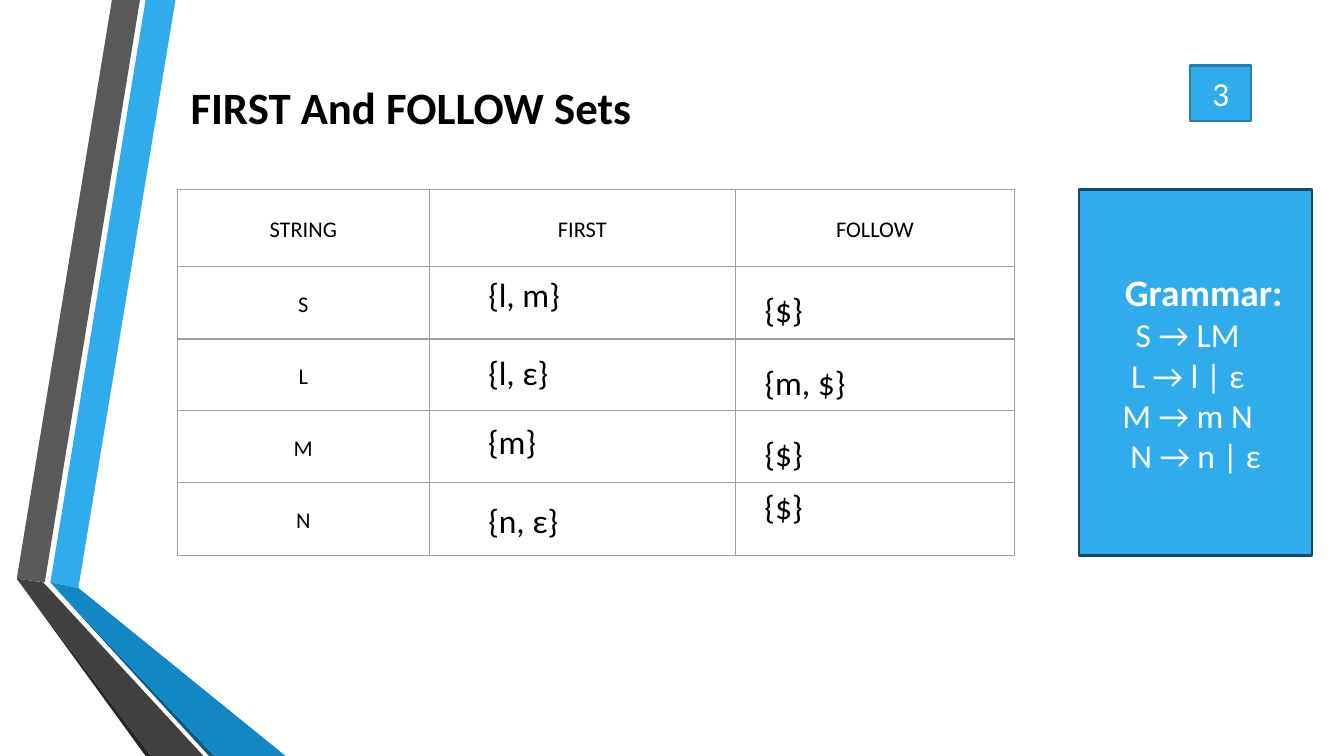
"""Builds the FIRST and FOLLOW sets slide for a small grammar."""
from lxml.etree import SubElement
from pptx import Presentation
from pptx.dml.color import RGBColor
from pptx.enum.shapes import MSO_SHAPE as Preset
from pptx.enum.text import MSO_ANCHOR as Anchor, MSO_AUTO_SIZE as AutoSize, PP_ALIGN as Align
from pptx.oxml.ns import qn
from pptx.util import Pt

FONT = "Calibri"
BLACK = RGBColor(0x00, 0x00, 0x00)
WHITE = RGBColor(0xFF, 0xFF, 0xFF)
BLUE = RGBColor(0x30, 0xAC, 0xEC)
BADGE_EDGE = RGBColor(0x24, 0x7F, 0xAF)
PANEL_EDGE = RGBColor(0x15, 0x4B, 0x67)
GRID = RGBColor(0x9E, 0x9E, 0x9E)

TITLE = "FIRST And FOLLOW Sets"
HEADERS = ["STRING", "FIRST", "FOLLOW"]
SYMBOLS = ["S", "L", "M", "N"]
FIRST_LEFT, FOLLOW_LEFT = 254.5, 402.5
SETS = [
    ("{l, m}", FIRST_LEFT, 143.3, 73),
    ("{l, ε}", FIRST_LEFT, 185, 63),
    ("{m}", FIRST_LEFT, 221.8, 97),
    ("{n, ε}", FIRST_LEFT, 264.2, 112),
    ("{$}", FOLLOW_LEFT, 151.2, 96),
    ("{m, $}", FOLLOW_LEFT, 190.1, 76),
    ("{$}", FOLLOW_LEFT, 228.2, 76),
    ("{$}", FOLLOW_LEFT, 257, 69),
]
INDENT = 8.6
GRAMMAR = [
    ("Grammar:", 2 * INDENT),
    ("S → LM", 0),
    ("L → l | ε", 0),
    ("M → m N", 0),
    ("N → n | ε", INDENT),
]
RIBBONS = [
    (BLUE, [(27.4, 312.5), (41.8, 314.6), (93.6, 0), (78.5, 0)]),
    (RGBColor(0x59, 0x59, 0x59), [(74.9, 0), (59.8, 0), (8.6, 309.6), (23.8, 311.8)]),
    (RGBColor(0x26, 0x26, 0x26), [(8.6, 309.6), (78.5, 405), (81.4, 405)]),
    (RGBColor(0x0C, 0x5A, 0x82), [(27.4, 312.5), (112.3, 405), (115.2, 405)]),
    (RGBColor(0x12, 0x87, 0xC3), [(27.4, 312.5), (115.2, 405), (152.6, 405), (41.8, 314.6)]),
    (RGBColor(0x40, 0x40, 0x40), [(108.7, 405), (25.9, 315.4), (23.4, 311.8), (8.6, 309.6), (81.4, 405)]),
]
TABLE_LEFT, TABLE_TOP = 95, 101.5
COLUMNS = [135, 164, 149.5]
ROWS = [41.2, 38.9, 38.5, 38.5, 39.1]


def style(paragraph, size, color, bold=False):
    for run in paragraph.runs:
        run.font.name, run.font.size, run.font.bold = FONT, Pt(size), bold
        run.font.color.rgb = color


def add_label(slide, text, left, top, width, height, size, bold=False, anchor=Anchor.TOP):
    frame = slide.shapes.add_textbox(Pt(left), Pt(top), Pt(width), Pt(height)).text_frame
    frame.word_wrap = True
    frame.auto_size = AutoSize.SHAPE_TO_FIT_TEXT
    frame.vertical_anchor = anchor
    frame.text = text
    style(frame.paragraphs[0], size, BLACK, bold)


def add_block(slide, left, top, width, height, edge):
    block = slide.shapes.add_shape(Preset.RECTANGLE, Pt(left), Pt(top), Pt(width), Pt(height))
    block.shadow.inherit = False
    block.fill.solid()
    block.fill.fore_color.rgb = BLUE
    block.line.color.rgb = edge
    block.line.width = Pt(1.25)
    block.text_frame.vertical_anchor = Anchor.MIDDLE
    return block.text_frame


def add_ribbon(slide, color, points):
    builder = slide.shapes.build_freeform(*points[0], scale=Pt(1))
    builder.add_line_segments(points[1:], close=True)
    ribbon = builder.convert_to_shape()
    ribbon.shadow.inherit = False
    ribbon.fill.solid()
    ribbon.fill.fore_color.rgb = color
    ribbon.line.fill.background()


def set_borders(cell):
    properties = cell._tc.get_or_add_tcPr()
    for side in ("a:lnL", "a:lnR", "a:lnT", "a:lnB"):
        border = SubElement(properties, qn(side), w=str(Pt(0.75)))
        SubElement(SubElement(border, qn("a:solidFill")), qn("a:srgbClr"), val=str(GRID))


def add_sets_table(slide):
    table = slide.shapes.add_table(
        len(ROWS), len(COLUMNS), Pt(TABLE_LEFT), Pt(TABLE_TOP), Pt(sum(COLUMNS)), Pt(sum(ROWS))
    ).table
    table.first_row = table.horz_banding = False
    for column, width in zip(table.columns, COLUMNS):
        column.width = Pt(width)
    for row, height in zip(table.rows, ROWS):
        row.height = Pt(height)
    for cell in table.iter_cells():
        set_borders(cell)
        cell.fill.background()
    entries = [(0, column, header) for column, header in enumerate(HEADERS)]
    entries += [(row, 0, symbol) for row, symbol in enumerate(SYMBOLS, 1)]
    for row, column, text in entries:
        cell = table.cell(row, column)
        cell.vertical_anchor = Anchor.MIDDLE
        cell.margin_left = cell.margin_right = cell.margin_top = cell.margin_bottom = Pt(0.7)
        cell.text_frame.text = text
        paragraph = cell.text_frame.paragraphs[0]
        paragraph.alignment = Align.CENTER
        paragraph.line_spacing = 1.15
        paragraph.space_after = Pt(8)
        style(paragraph, 12, BLACK)


def main():
    deck = Presentation()
    deck.slide_width, deck.slide_height = Pt(720), Pt(405)
    slide = deck.slides.add_slide(deck.slide_layouts[6])

    for color, points in RIBBONS:
        add_ribbon(slide, color, points)
    add_sets_table(slide)
    add_label(slide, TITLE, TABLE_LEFT, 39, 459, 36.4, 24, True, Anchor.MIDDLE)
    for text, left, top, width in SETS:
        add_label(slide, text, left, top, width, 29, 18)

    badge = add_block(slide, 637.6, 35, 32.7, 29.8, BADGE_EDGE)
    badge.text = "3"
    badge.paragraphs[0].alignment = Align.CENTER
    style(badge.paragraphs[0], 18, WHITE)

    panel = add_block(slide, 578.2, TABLE_TOP, 124.8, sum(ROWS), PANEL_EDGE)
    panel.margin_right = Pt(7.2 + INDENT)
    panel.text = "\n".join(line for line, _ in GRAMMAR)
    for position, (paragraph, (_, indent)) in enumerate(zip(panel.paragraphs, GRAMMAR)):
        paragraph.alignment = Align.CENTER
        paragraph._p.get_or_add_pPr().set("marL", str(Pt(indent)))
        style(paragraph, 18 if position else 20, WHITE, position == 0)

    deck.save("out.pptx")


if __name__ == "__main__":
    main()
